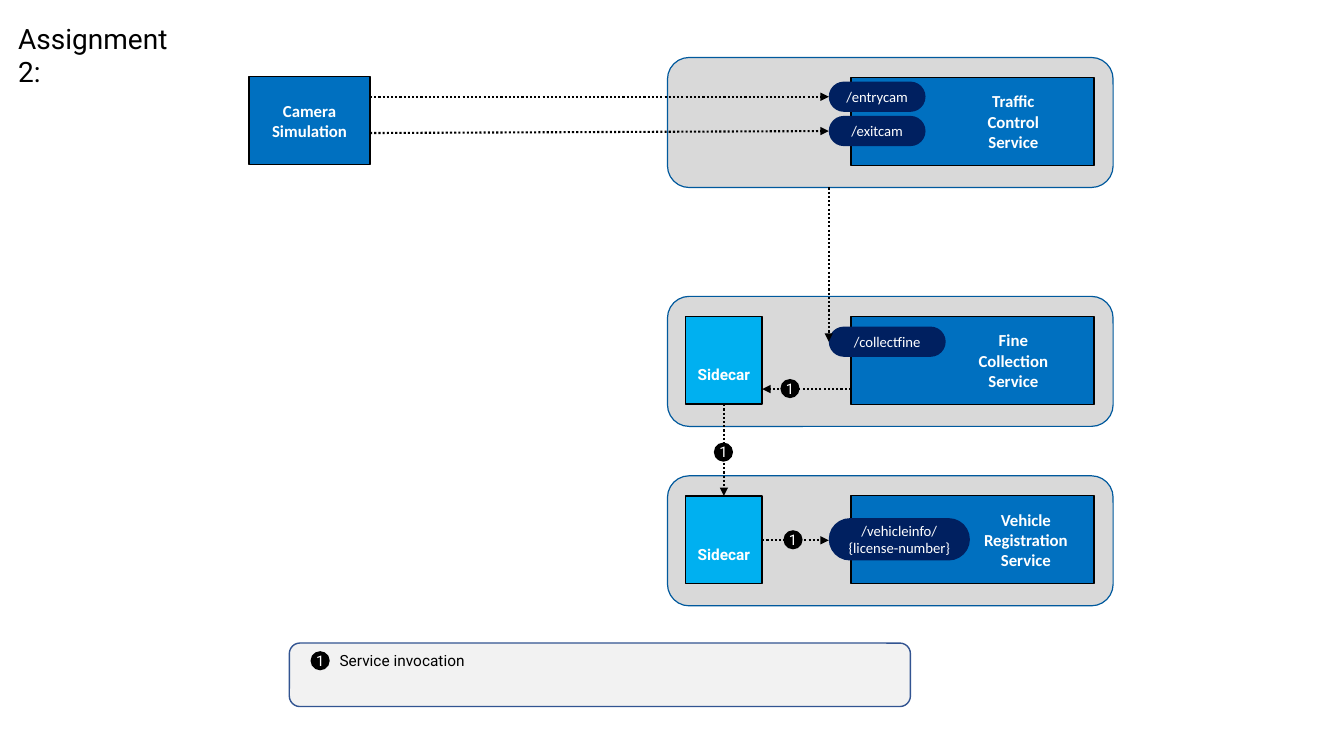
from lxml import etree
from pptx import Presentation
from pptx import util as u
from pptx.dml.color import RGBColor
from pptx.enum import dml, shapes, text
from pptx.oxml.ns import qn

PX = 9144  # 100 px to the inch
BLUE, NAVY, CYAN, WHITE, BLACK = "0070C0", "002060", "00B0F0", "FFFFFF", "000000"
KIND = shapes.MSO_SHAPE


def rgb(value):
    return RGBColor.from_string(value)


def write(s, words, size=12, font="Calibri", color=WHITE, bold=False,
          align=text.PP_ALIGN.CENTER, anchor=text.MSO_ANCHOR.MIDDLE,
          insets=(0, 0, 0, 0)):
    tf = s.text_frame
    tf.word_wrap = True
    tf.auto_size = text.MSO_AUTO_SIZE.NONE
    tf.vertical_anchor = anchor
    tf.margin_left, tf.margin_top, tf.margin_right, tf.margin_bottom = [
        i * PX for i in insets]
    tf.text = words
    for p in tf.paragraphs:
        p.alignment = align
        for r in p.runs:
            r.font.size, r.font.name, r.font.bold = u.Pt(size), font, bold
            r.font.color.rgb = rgb(color)


prs = Presentation()
prs.slide_width, prs.slide_height = 1333 * PX, 750 * PX
slide = prs.slides.add_slide(prs.slide_layouts[5])


def add(kind, box, fill, line=None, width=0.85):
    s = slide.shapes.add_shape(kind, *[v * PX for v in box])
    s.shadow.inherit = False
    s.fill.solid()
    s.fill.fore_color.rgb = rgb(fill)
    if line:
        s.line.color.rgb = rgb(line)
        s.line.width = u.Pt(width)
    else:
        s.line.fill.background()
    return s


# Title
title = slide.shapes.title
title.left, title.top, title.width, title.height = [v * PX for v in (18, 21, 160, 68)]
write(title, "Assignment 2:", size=20, font="Roboto", color=BLACK,
      align=text.PP_ALIGN.LEFT, anchor=text.MSO_ANCHOR.TOP)

# Service panels, each with its service box
services = [
    (57, "Traffic\nControl\nService", (91, 5, 10, 5)),
    (294, "Fine\nCollection\nService", (91, 5, 10, 5)),
    (472, "Vehicle\nRegistration\nService", (106, 5, 0, 5)),
]
for top, name, insets in services:
    add(KIND.ROUNDED_RECTANGLE, (662, top, 442, 129), "D9D9D9", "00599D")
    s = add(KIND.RECTANGLE, (844, top + 20, 241, 87), BLUE, BLACK)
    write(s, name, bold=True, insets=insets)

# Camera simulation
camera = add(KIND.RECTANGLE, (247, 76, 120, 87), BLUE, BLACK)
write(camera, "Camera\nSimulation", bold=True)

# Endpoints
endpoints = [
    (81, 96, 30, "/entrycam"),
    (115, 96, 30, "/exitcam"),
    (324, 116, 30, "/collectfine"),
    (514, 140, 42, "/vehicleinfo/\n{license-number}"),
]
for top, width, height, name in endpoints:
    s = add(KIND.ROUNDED_RECTANGLE, (822, top, width, height), NAVY)
    s.adjustments[0] = 0.5
    write(s, name, size=10.5)

# Sidecars
for top in (314, 492):
    s = add(KIND.RECTANGLE, (680, top, 76, 87), CYAN, BLACK, 1)
    write(s, "Sidecar", size=11, font="Roboto", bold=True,
          anchor=text.MSO_ANCHOR.BOTTOM, insets=(0, 47, 0, 20))

# Calls between services
calls = [
    (367, 96, 822, 96),
    (367, 132, 822, 130),
    (822, 186, 822, 339),
    (844, 386, 756, 386),
    (718, 401, 718, 492),
    (756, 536, 822, 536),
]
for call in calls:
    c = slide.shapes.add_connector(shapes.MSO_CONNECTOR.STRAIGHT, *[v * PX for v in call])
    c.line.color.rgb = rgb(BLACK)
    c.line.width = u.Pt(1.5)
    c.line.dash_style = dml.MSO_LINE.ROUND_DOT
    etree.SubElement(c.line._get_or_add_ln(), qn("a:tailEnd"), type="triangle")
    etree.SubElement(c._element.spPr, qn("a:effectLst"))

# Legend
add(KIND.ROUNDED_RECTANGLE, (287, 638, 616, 63), "F2F2F2", "325491", 1)
label = slide.shapes.add_textbox(*[v * PX for v in (327, 641, 146, 29)])
write(label, "Service invocation", size=11, font="Roboto", color=BLACK,
      align=text.PP_ALIGN.LEFT, anchor=text.MSO_ANCHOR.TOP, insets=(10, 5, 0, 5))

# Step markers
for left, top in ((774, 376), (708, 439), (777, 526), (308, 646)):
    s = add(KIND.OVAL, (left, top, 19, 19), BLACK)
    write(s, "1", size=10.5, font="Roboto")

prs.save("out.pptx")
